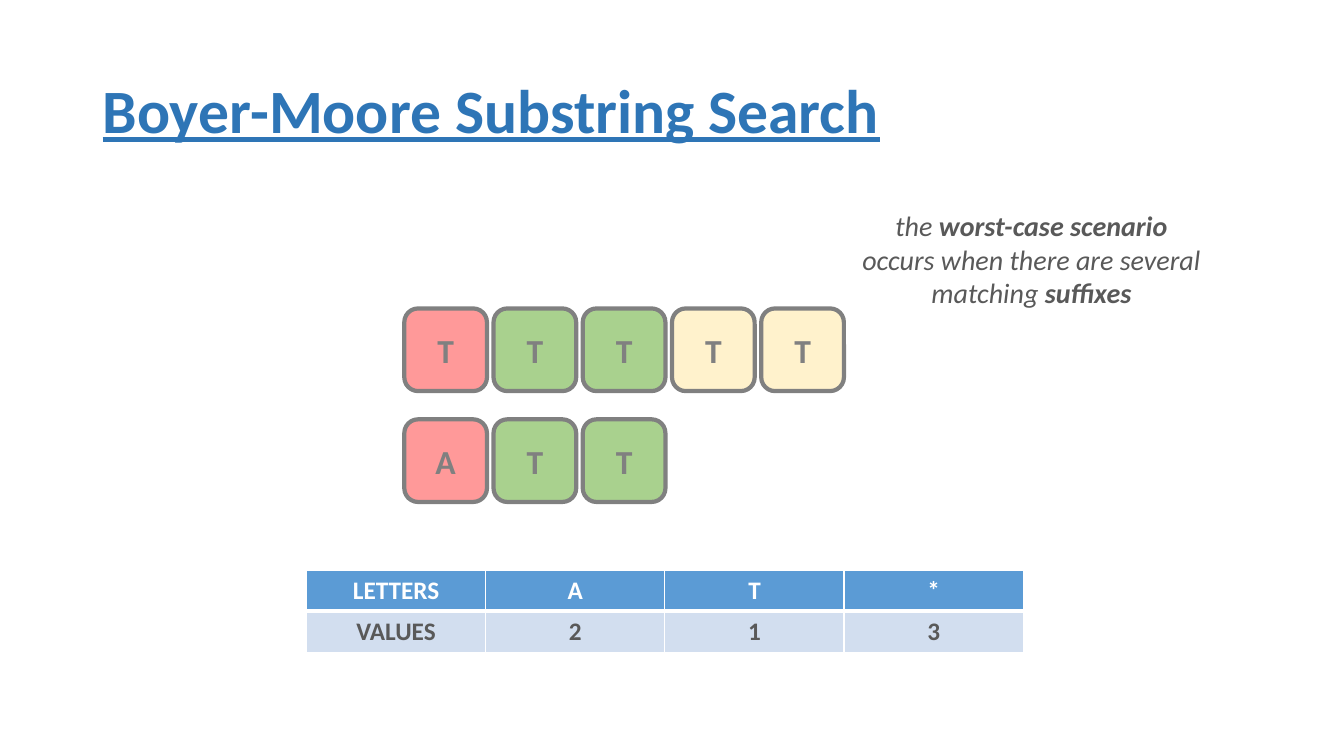
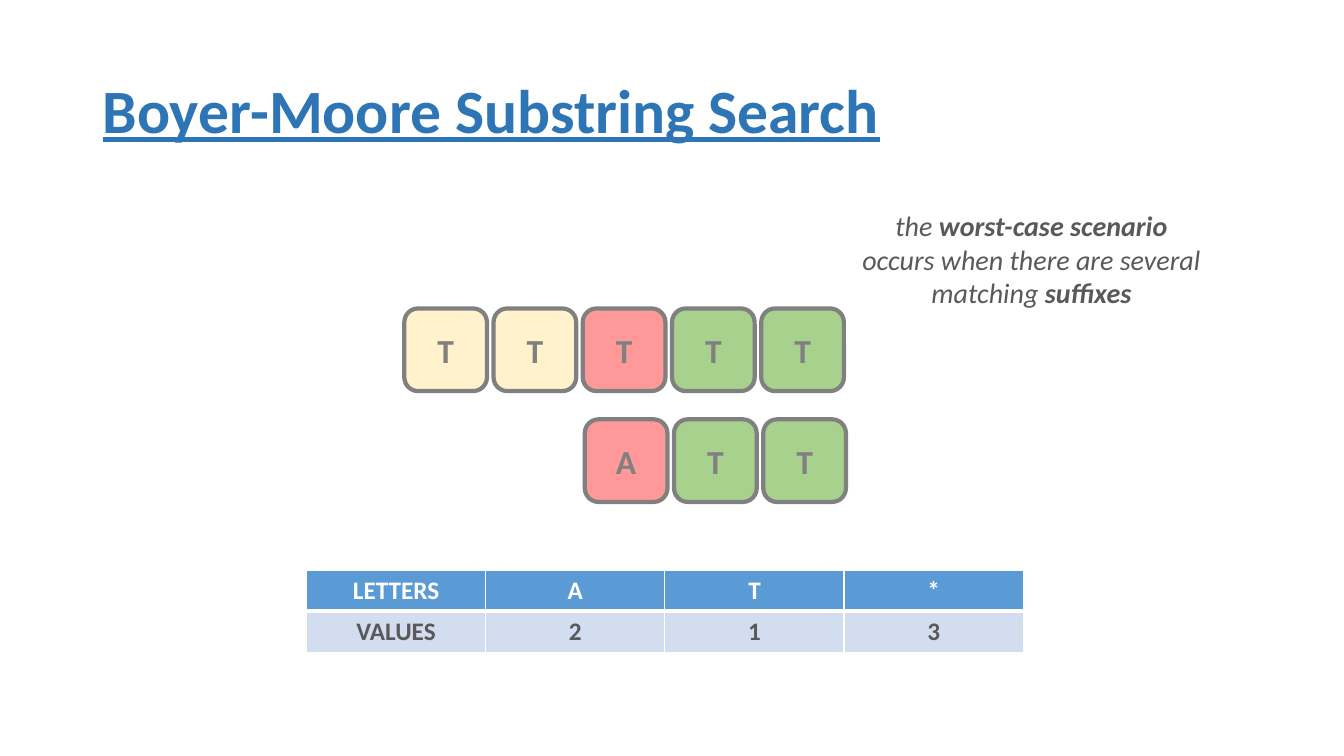
from dataclasses import dataclass

from lxml import etree
from pptx import Presentation
from pptx import util as u
from pptx.dml.color import RGBColor
from pptx.enum import shapes, text
from pptx.oxml import ns


@dataclass(frozen=True)
class Theme:
    face: str = "Calibri"
    blue: str = "2E75B6"
    gray: str = "808080"
    dark: str = "595959"
    white: str = "FFFFFF"
    miss: str = "FF9999"
    match: str = "A9D18E"
    rest: str = "FFF2CC"
    head: str = "5B9BD5"
    body: str = "D2DEEF"
    title: int = 44
    tile: int = 24
    note: int = 20
    cell: int = 18


THEME = Theme()
FILLS = {"x": THEME.miss, "=": THEME.match, "-": THEME.rest}
SIDE = 0.82
FIRST, LAST, COUNT = 4.01, 7.55, 5
PITCH = (LAST - FIRST) / (COUNT - 1)
TEXT_TOP, WORD_TOP = 3.06, 4.16
NOTE = [
    [("the ", False), ("worst-case scenario", True)],
    [("occurs when there are several", False)],
    [("matching ", False), ("suffixes", True)],
]
SHIFTS = [("LETTERS", "A", "T", "*"), ("VALUES", "2", "1", "3")]
STEPS = [("x==--", FIRST), ("--x==", 5.8)]


def box(left, top, width, height):
    return [u.Inches(v) for v in (left, top, width, height)]


def style(para, size, color, bold=None, align=text.PP_ALIGN.CENTER):
    para.alignment = align
    font = para.font
    font.name, font.size, font.bold = THEME.face, u.Pt(size), bold
    font.color.rgb = RGBColor.from_string(color)
    return font


def add_title(slide, words):
    frame = slide.shapes.add_textbox(*box(0.92, 0.4, 11.5, 1.45)).text_frame
    frame.word_wrap = True
    frame.vertical_anchor = text.MSO_ANCHOR.MIDDLE
    para = frame.paragraphs[0]
    para.text = words
    para.line_spacing = 0.9
    style(para, THEME.title, THEME.blue, True, text.PP_ALIGN.LEFT).underline = True


def add_note(slide, lines):
    frame = slide.shapes.add_textbox(*box(8.44, 2.02, 3.58, 1.11)).text_frame
    frame.word_wrap = False
    for i, line in enumerate(lines):
        para = frame.add_paragraph() if i else frame.paragraphs[0]
        style(para, THEME.note, THEME.dark).italic = True
        for words, bold in line:
            run = para.add_run()
            run.text = words
            run.font.bold = bold


def add_tile(slide, letter, fill, left, top):
    tile = slide.shapes.add_shape(
        shapes.MSO_SHAPE.ROUNDED_RECTANGLE, *box(left, top, SIDE, SIDE))
    tile.shadow.inherit = False
    tile.fill.solid()
    tile.fill.fore_color.rgb = RGBColor.from_string(fill)
    tile.line.color.rgb = RGBColor.from_string(THEME.gray)
    tile.line.width = u.Pt(3)
    frame = tile.text_frame
    frame.vertical_anchor = text.MSO_ANCHOR.MIDDLE
    frame.text = letter
    style(frame.paragraphs[0], THEME.tile, THEME.gray, True)


def add_row(slide, letters, marks, left, top):
    for i, (letter, mark) in enumerate(zip(letters, marks)):
        add_tile(slide, letter, FILLS[mark], left + i * PITCH, top)


def add_edge(cell, side, width):
    props = cell._tc.get_or_add_tcPr()
    line = etree.SubElement(props, ns.qn(f"a:ln{side}"), w=str(u.Pt(width)))
    fill = etree.SubElement(line, ns.qn("a:solidFill"))
    etree.SubElement(fill, ns.qn("a:srgbClr"), val=THEME.white)


def add_grid(slide, rows):
    grid = slide.shapes.add_table(
        len(rows), len(rows[0]), *box(3.04, 5.66, 7.11, 0.81)).table
    looks = [(THEME.head, THEME.white, 1, 3), (THEME.body, THEME.dark, 3, 1)]
    for r, (row, (fill, color, upper, lower)) in enumerate(zip(rows, looks)):
        for c, words in enumerate(row):
            cell = grid.cell(r, c)
            for side, width in zip("LRTB", (1, 1, upper, lower)):
                add_edge(cell, side, width)
            cell.fill.solid()
            cell.fill.fore_color.rgb = RGBColor.from_string(fill)
            cell.text = words
            style(cell.text_frame.paragraphs[0], THEME.cell, color, True)


def add_step(deck, marks, left):
    slide = deck.slides.add_slide(deck.slide_layouts[6])
    add_title(slide, "Boyer-Moore Substring Search")
    add_row(slide, "T" * COUNT, marks, FIRST, TEXT_TOP)
    add_note(slide, NOTE)
    add_row(slide, "ATT", "x==", left, WORD_TOP)
    add_grid(slide, SHIFTS)


def main():
    deck = Presentation()
    deck.slide_width, deck.slide_height = u.Inches(13.33), u.Inches(7.5)
    for marks, left in STEPS:
        add_step(deck, marks, left)
    deck.save("out.pptx")


if __name__ == "__main__":
    main()
